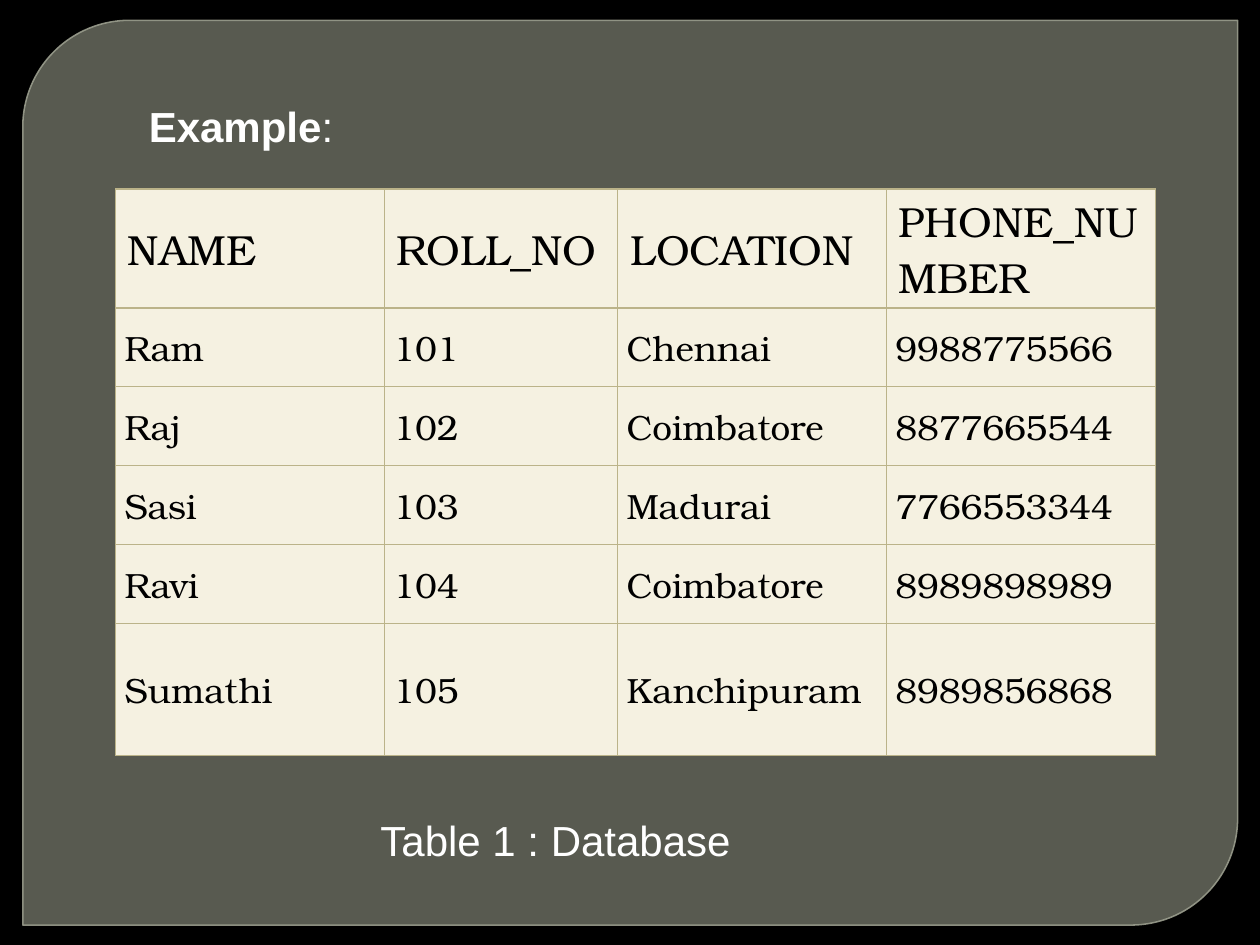
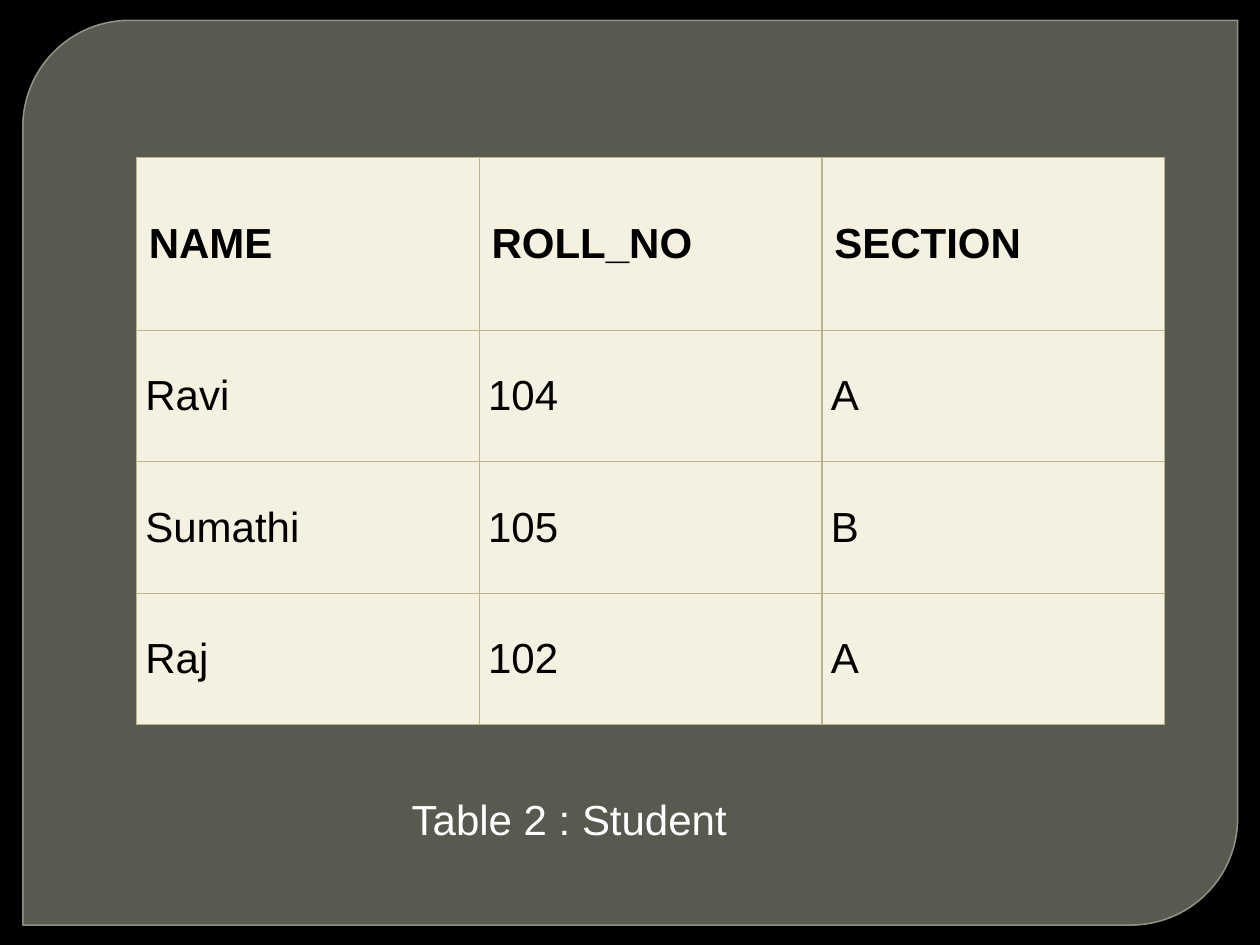
from pptx import Presentation, util as u
from pptx.dml.color import RGBColor
from pptx.enum import shapes, text
from pptx.oxml.ns import qn
from lxml import etree

Cm, Pt = u.Cm, u.Pt
BLACK, WHITE, CREAM = "000000", "FFFFFF", "F5F1E1"
PANEL, EDGE, RULE = "888B7B", "9DA090", "BBB389"
SANS, SERIF = "Arial", "TeX Gyre Bonum"


def paint(fill, tone, alpha=None):
    """Fill with a hex colour, with opacity in percent if given."""
    fill.solid()
    fill.fore_color.rgb = RGBColor.from_string(tone)
    if alpha:
        node = next(fill._xPr.iter(qn("a:srgbClr")))
        etree.SubElement(node, qn("a:alpha")).set("val", str(alpha * 1000))


def write(para, words, face, size, tone, bold=False):
    """Put words in a paragraph and set its font."""
    para.text = words
    font = para.font
    font.name, font.size, font.bold = face, Pt(size), bold
    font.color.rgb = RGBColor.from_string(tone)


# Each slide: table place, columns, rows, fonts, data, labels (all in cm)
pages = [
    dict(
        left=2.33, top=3.81, cols=[5.42, 4.7, 5.42, 5.42],
        rows=[2.4] + [1.59] * 4 + [2.66],
        face=SERIF, size=20, bold=False,
        data=[
            ["NAME", "ROLL_NO", "LOCATION", "PHONE_NUMBER"],
            ["Ram", "101", "Chennai", "9988775566"],
            ["Raj", "102", "Coimbatore", "8877665544"],
            ["Sasi", "103", "Madurai", "7766553344"],
            ["Ravi", "104", "Coimbatore", "8989898989"],
            ["Sumathi", "105", "Kanchipuram", "8989856868"],
        ],
        labels=[("Example", ":", 2.75, 1.9, 20.12),
                ("", "Table 1 : Database", 7.42, 16.3, 11.86)],
    ),
    dict(
        left=2.75, top=3.17, cols=[6.91] * 3, rows=[3.49] + [2.65] * 3,
        face=SANS, size=24, bold=True,
        data=[
            ["NAME", "ROLL_NO", "SECTION"],
            ["Ravi", "104", "A"],
            ["Sumathi", "105", "B"],
            ["Raj", "102", "A"],
        ],
        labels=[("", "Table 2 : Student", 8.05, 15.88, 8.89)],
    ),
]

deck = Presentation()
deck.slide_width, deck.slide_height = Cm(25.4), Cm(19.05)
paint(deck.slide_master.background.fill, BLACK)

for page in pages:
    slide = deck.slides.add_slide(deck.slide_layouts[6])

    # Panel with two round corners
    panel = slide.shapes.add_shape(
        shapes.MSO_SHAPE.ROUND_2_DIAG_RECTANGLE,
        Cm(0.46), Cm(0.41), Cm(24.49), Cm(18.24))
    panel.adjustments[0], panel.adjustments[1] = 0.118, 0
    panel.shadow.inherit = False
    paint(panel.fill, PANEL, 65)
    paint(panel.line.fill, EDGE, 88)
    panel.line.width = Pt(0.87)

    # Table
    cols, rows = page["cols"], page["rows"]
    grid = slide.shapes.add_table(
        len(rows), len(cols), Cm(page["left"]), Cm(page["top"]),
        Cm(sum(cols)), Cm(sum(rows))).table
    grid.horz_banding = False
    for col, width in zip(grid.columns, cols):
        col.width = Cm(width)
    for r, (row, high) in enumerate(zip(grid.rows, rows)):
        row.height = Cm(high)
        head = r == 0
        for cell, words in zip(row.cells, page["data"][r]):
            cell.vertical_anchor = text.MSO_ANCHOR.MIDDLE
            cell.margin_left = cell.margin_right = Cm(0.25 if head else 0.18)
            cell.margin_top = cell.margin_bottom = Cm(0.05 if head else 0.25)
            write(cell.text_frame.paragraphs[0], words, page["face"],
                  24 if head else page["size"], BLACK, head and page["bold"])
            # Borders go before the fill in the cell properties
            props = cell._tc.get_or_add_tcPr()
            for side in ("L", "R", "T", "B"):
                line = etree.SubElement(props, qn("a:ln" + side), w=str(Pt(0.75)))
                solid = etree.SubElement(line, qn("a:solidFill"))
                etree.SubElement(solid, qn("a:srgbClr"), val=RULE)
            paint(cell.fill, CREAM)

    # Heading and caption
    for strong, plain, left, top, width in page["labels"]:
        box = slide.shapes.add_textbox(Cm(left), Cm(top), Cm(width), Cm(1.28))
        frame = box.text_frame
        frame.word_wrap = True
        frame.auto_size = text.MSO_AUTO_SIZE.SHAPE_TO_FIT_TEXT
        para = frame.paragraphs[0]
        write(para, strong, SANS, 24, WHITE)
        for run in para.runs:
            run.font.bold = True
        para.add_run().text = plain

deck.save("out.pptx")
